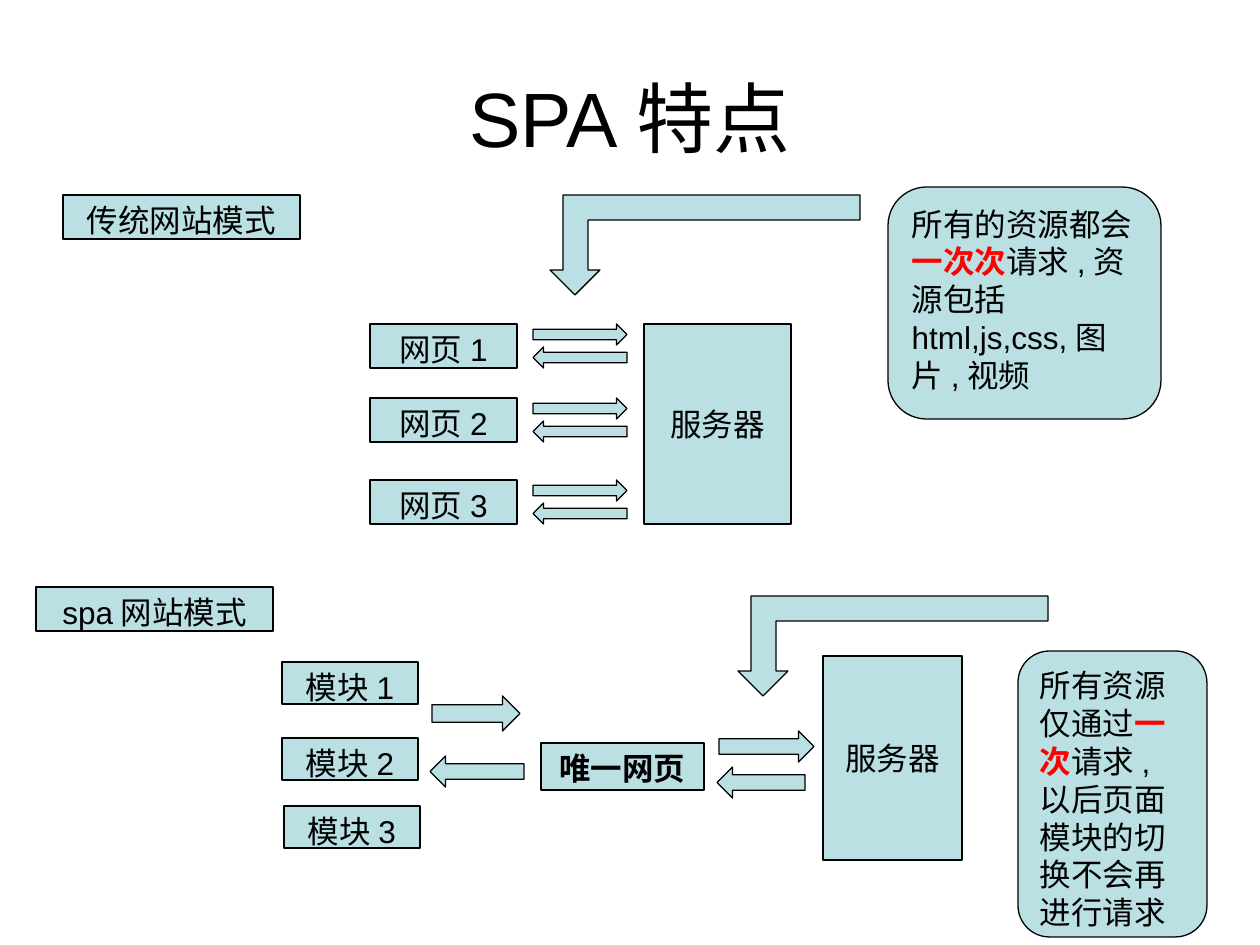
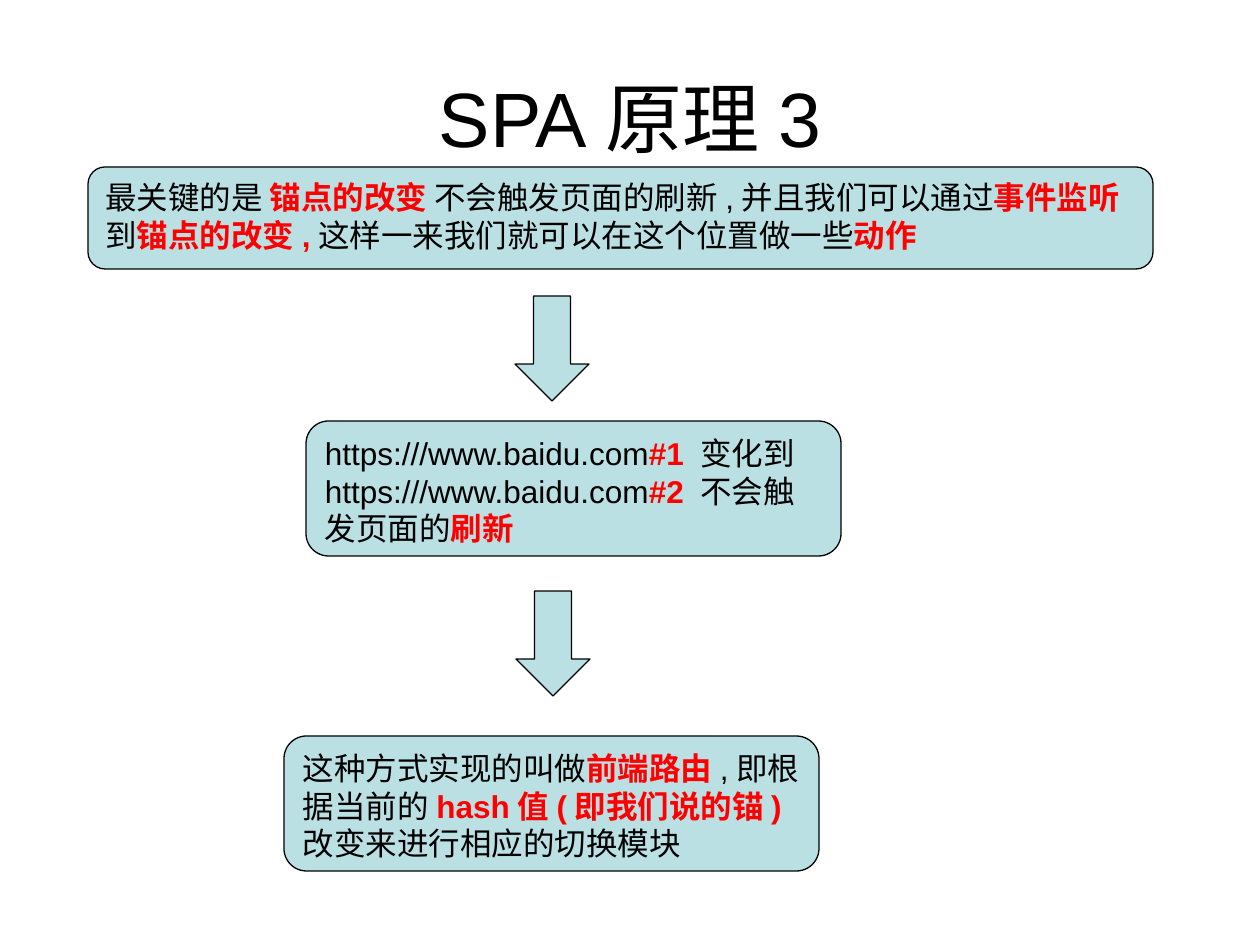
from pptx import Presentation
from pptx.dml.color import RGBColor
from pptx.enum.shapes import MSO_SHAPE
from pptx.enum.text import MSO_ANCHOR, PP_ALIGN
from pptx.util import Pt

PX = 914400 / 126
SLIDE_SIZE = (1260, 945)
TITLE_BOX = (63, 38, 1134, 158)
FONT = "Arial"
BLACK = RGBColor(0x00, 0x00, 0x00)
RED = RGBColor(0xFF, 0x00, 0x00)
PALE_TEAL = RGBColor(0xBB, 0xE0, 0xE3)

# Boxes are (left, top, width, height) in px; text between ** marks is bold red.
FEATURES_TITLE = "SPA特点"
MODE_LABELS = [
    ("传统网站模式", (63, 195, 237, 44)),
    ("spa网站模式", (36, 587, 237, 44)),
]
PAGES = [("网页1", 324), ("网页2", 398), ("网页3", 480)]
PAGE_LEFT, PAGE_WIDTH, PAGE_HEIGHT = 370, 147, 44
REQUEST_LEFT, REQUEST_WIDTH, REQUEST_HEIGHT = 533, 94, 21
MODULES = [
    ("模块1", (282, 662, 136, 42)),
    ("模块2", (282, 738, 136, 42)),
    ("模块3", (284, 806, 136, 42)),
]
SINGLE_PAGE = ("唯一网页", (541, 743, 163, 47))
SERVERS = [(644, 324, 147, 200), (823, 656, 139, 204)]
SPA_ARROWS = [
    (MSO_SHAPE.RIGHT_ARROW, (432, 696, 88, 35)),
    (MSO_SHAPE.LEFT_ARROW, (430, 756, 94, 31)),
    (MSO_SHAPE.RIGHT_ARROW, (719, 731, 95, 31)),
    (MSO_SHAPE.LEFT_ARROW, (717, 767, 88, 31)),
]
BENT_ARROW_CORNERS = [(550, 195), (738, 596)]
BENT_ARROW_OUTLINE = [(310, 25), (38, 25), (38, 75), (50, 75), (25, 100),
                      (0, 75), (13, 75), (13, 0), (310, 0)]
FEATURE_NOTES = [
    (["所有的资源都会**一次次**请求,资源包括html,js,css,图片,视频"],
     (888, 187, 273, 232)),
    (["所有资源仅通过**一次**请求,以后页面模块的切换不会再进行请求"],
     (1018, 651, 189, 286)),
]

PRINCIPLE_TITLE = "SPA原理3"
PRINCIPLE_STEPS = [
    (["最关键的是 **锚点的改变** 不会触发页面的刷新,并且我们可以通过**事件监听**到"
      "**锚点的改变,**这样一来我们就可以在这个位置做一些**动作**"],
     (88, 167, 1065, 102)),
    (["https:///www.baidu.com**#1 **变化到",
      "https:///www.baidu.com**#2 **不会触发页面的**刷新**"],
     (306, 421, 535, 135)),
    (["这种方式实现的叫做**前端路由**,即根据当前的**hash值(即我们说的锚)**"
      "改变来进行相应的切换模块"],
     (284, 736, 535, 135)),
]
STEP_ARROWS = [(515, 296, 74, 105), (516, 591, 74, 105)]


def to_emu(lengths):
    return [round(length * PX) for length in lengths]


def write_text(frame, lines, size=18, align=PP_ALIGN.LEFT, anchor=MSO_ANCHOR.TOP,
               bold=False):
    frame.word_wrap = True
    frame.vertical_anchor = anchor
    for index, line in enumerate(lines):
        paragraph = frame.paragraphs[0] if index == 0 else frame.add_paragraph()
        paragraph.alignment = align
        font = paragraph.font
        font.name, font.size, font.bold = FONT, Pt(size), bold
        font.color.rgb = BLACK
        for position, part in enumerate(line.split("**")):
            if not part:
                continue
            run = paragraph.add_run()
            run.text = part
            if position % 2:
                run.font.bold = True
                run.font.color.rgb = RED


def apply_style(shape):
    shape.shadow.inherit = False
    shape.fill.solid()
    shape.fill.fore_color.rgb = PALE_TEAL
    shape.line.color.rgb = BLACK
    shape.line.width = Pt(0.75)


def add_preset(slide, preset, box):
    shape = slide.shapes.add_shape(preset, *to_emu(box))
    apply_style(shape)
    return shape


def add_label(slide, text, box, **options):
    shape = add_preset(slide, MSO_SHAPE.RECTANGLE, box)
    write_text(shape.text_frame, [text], align=PP_ALIGN.CENTER, **options)


def add_note(slide, lines, box):
    shape = add_preset(slide, MSO_SHAPE.ROUNDED_RECTANGLE, box)
    write_text(shape.text_frame, lines)


def add_bent_arrow(slide, left, top):
    points = [(left + x, top + y) for x, y in BENT_ARROW_OUTLINE]
    builder = slide.shapes.build_freeform(*points[0], scale=PX)
    builder.add_line_segments(points[1:], close=True)
    apply_style(builder.convert_to_shape())


def add_titled_slide(presentation, title):
    slide = presentation.slides.add_slide(presentation.slide_layouts[6])
    title_box = slide.shapes.add_textbox(*to_emu(TITLE_BOX))
    write_text(title_box.text_frame, [title], size=44, align=PP_ALIGN.CENTER,
               anchor=MSO_ANCHOR.MIDDLE)
    return slide


def build_features(presentation):
    slide = add_titled_slide(presentation, FEATURES_TITLE)
    for text, box in MODE_LABELS + MODULES:
        add_label(slide, text, box)
    add_label(slide, *SINGLE_PAGE, bold=True)
    for box in SERVERS:
        add_label(slide, "服务器", box, anchor=MSO_ANCHOR.MIDDLE)
    for text, top in PAGES:
        add_label(slide, text, (PAGE_LEFT, top, PAGE_WIDTH, PAGE_HEIGHT))
        response_top = top + PAGE_HEIGHT - REQUEST_HEIGHT
        for preset, arrow_top in ((MSO_SHAPE.RIGHT_ARROW, top),
                                  (MSO_SHAPE.LEFT_ARROW, response_top)):
            add_preset(slide, preset,
                       (REQUEST_LEFT, arrow_top, REQUEST_WIDTH, REQUEST_HEIGHT))
    for preset, box in SPA_ARROWS:
        add_preset(slide, preset, box)
    for left, top in BENT_ARROW_CORNERS:
        add_bent_arrow(slide, left, top)
    for lines, box in FEATURE_NOTES:
        add_note(slide, lines, box)


def build_principle(presentation):
    slide = add_titled_slide(presentation, PRINCIPLE_TITLE)
    for lines, box in PRINCIPLE_STEPS:
        add_note(slide, lines, box)
    for box in STEP_ARROWS:
        add_preset(slide, MSO_SHAPE.DOWN_ARROW, box)


def main():
    presentation = Presentation()
    presentation.slide_width, presentation.slide_height = to_emu(SLIDE_SIZE)
    build_features(presentation)
    build_principle(presentation)
    presentation.save("out.pptx")


if __name__ == "__main__":
    main()
